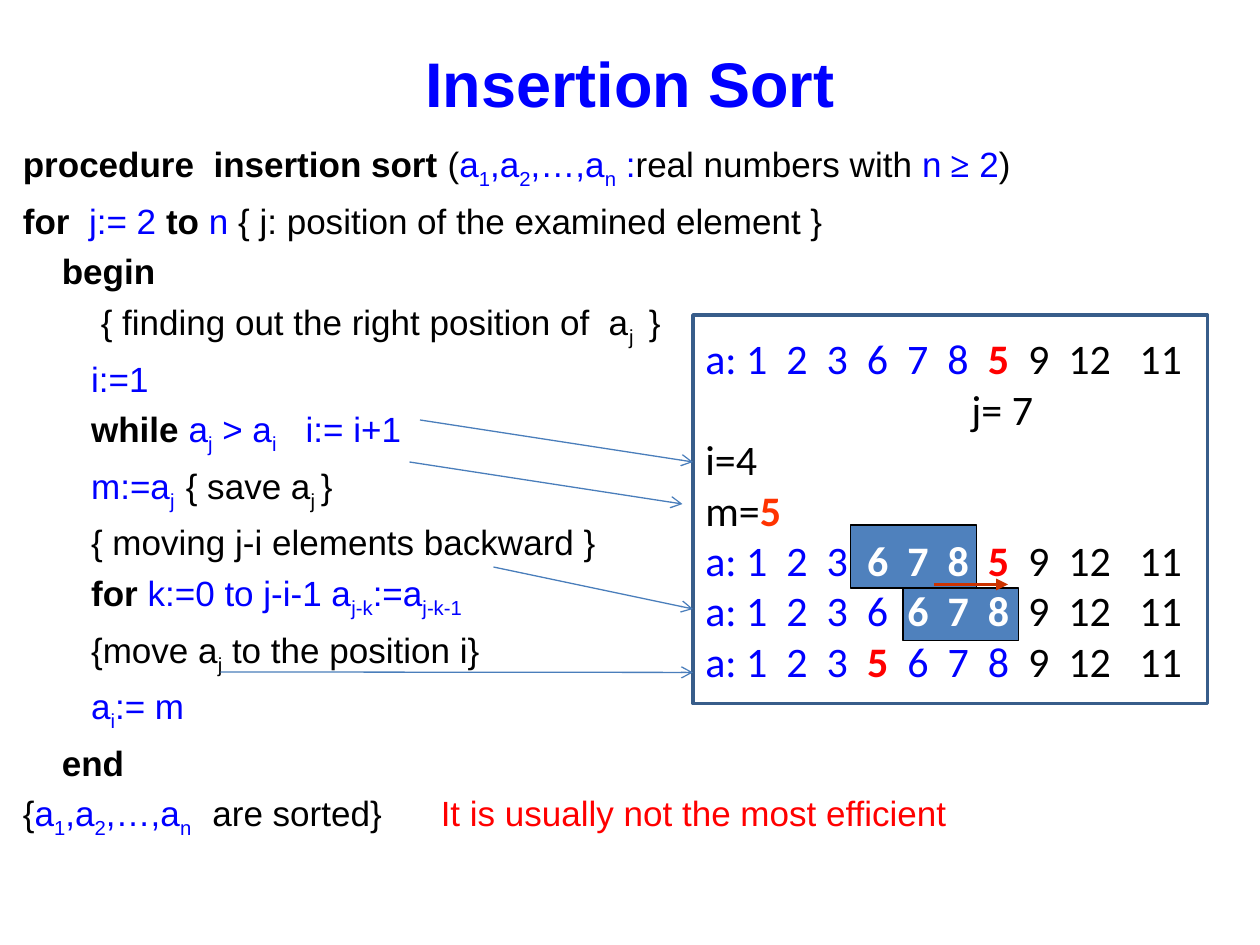
from dataclasses import dataclass

from lxml import etree
from pptx import Presentation
from pptx.dml.color import RGBColor
from pptx.enum.shapes import MSO_CONNECTOR, MSO_SHAPE
from pptx.enum.text import MSO_ANCHOR, PP_ALIGN
from pptx.oxml.ns import qn
from pptx.util import Pt

RECTANGLE = MSO_SHAPE.RECTANGLE
STRAIGHT = MSO_CONNECTOR.STRAIGHT
MIDDLE = MSO_ANCHOR.MIDDLE
TOP = MSO_ANCHOR.TOP
LEFT = PP_ALIGN.LEFT
CENTER = PP_ALIGN.CENTER


@dataclass(frozen=True)
class Theme:
    black: str = "000000"
    blue: str = "0000FF"
    red: str = "FF0000"
    orange: str = "FF3300"
    white: str = "FFFFFF"
    block: str = "4F81BD"
    frame: str = "385D8A"
    pointer: str = "4A7EBB"
    shift: str = "CC3300"
    code_font: str = "Arial"
    trace_font: str = "Calibri"
    math_font: str = "Times New Roman"
    title_size: int = 36
    code_size: int = 20
    trace_size: int = 24


THEME = Theme()
STYLES = {
    "k": (THEME.black, False), "K": (THEME.black, True),
    "b": (THEME.blue, False), "B": (THEME.blue, True),
    "r": (THEME.red, False), "R": (THEME.red, True),
    "O": (THEME.orange, True), "W": (THEME.white, True),
}
STEP = 22.25
BODY = 39
SEQUENCE = [("b", "a"), ("b_", "1"), ("b", ",a"), ("b_", "2"), ("b", ",…,a"), ("b_", "n")]
TAIL = ("k", "  9  12   11")

PROCEDURE = [
    (0, [("K", "procedure  insertion sort"), ("k", " ("), *SEQUENCE, ("b", " :"),
         ("k", "real numbers with "), ("b", "n"), ("B*", " ≥"), ("b", " 2"), ("k", ")")]),
    (0, [("K", "for  "), ("b", "j:= 2 "), ("K", "to "), ("b", "n "),
         ("k", "{ j: position of the examined element }")]),
    (STEP, [("K", "begin")]),
    (2 * STEP, [("k", "{ finding out the right position of  a"), ("k_", "j "), ("k", " }")]),
    (BODY, [("b", "i:=1")]),
    (BODY, [("K", "while "), ("b", "a"), ("b_", "j"), ("b", " > a"), ("b_", "i"),
            ("b", "   i:= i+1")]),
    (BODY, [("b", "m:=a"), ("b_", "j  "), ("k", "{ save a"), ("k_", "j "), ("k", "}")]),
    (BODY, [("k", "{ moving j-i elements backward }")]),
    (BODY, [("K", "for "), ("b", "k:=0 to j-i-1 a"), ("b_", "j-k"), ("b", ":=a"),
            ("b_", "j-k-1")]),
    (BODY, [("k", "{move a"), ("k_", "j"), ("k", " to the position i}")]),
    (BODY, [("b", "a"), ("b_", "i"), ("b", ":= m")]),
    (STEP, [("K", "end")]),
    (0, [("k", "{"), *SEQUENCE, ("b_", "  "), ("k", " are sorted}")]),
]
REMARK = [(0, [("r", "It is usually not the most efficient")])]

TRACE = [
    (0, [("b", "a: 1  2  3  6  7  8  "), ("R", "5"), TAIL]),
    (152, [("k", "j= 7")]),
    (0, [("k", "i=4")]),
    (0, [("k", "m="), ("O", "5")]),
    (0, [("b", "a: 1  2  3  "), ("W", "6  7  8  "), ("R", "5"), TAIL]),
    (0, [("b", "a: 1  2  3  6  "), ("W", "6  7  8  "), ("k", "9  12   11")]),
    (0, [("b", "a: 1  2  3  "), ("R", "5"), ("b", "  6  7  8"), TAIL]),
]
BLOCKS = [(516, 336, 66, 30), (486, 300, 72, 36)]
POINTERS = [
    (240, 240, 396, 264),
    (234, 264, 390, 288),
    (282, 324, 396, 348),
    (126, 384, 396, 384.25),
]


def color(code):
    return RGBColor.from_string(code)


def add_span(para, style, text, font, size):
    span = para.add_run()
    span.text = text
    shade, bold = STYLES[style[0]]
    span.font.name = THEME.math_font if "*" in style else font
    span.font.size = Pt(size)
    span.font.bold = bold
    span.font.color.rgb = color(shade)
    if "_" in style:
        span.font._element.set("baseline", "-25000")


def fill_text(frame, lines, font, size, gap=0):
    for index, (indent, spans) in enumerate(lines):
        para = frame.add_paragraph() if index else frame.paragraphs[0]
        para.alignment = LEFT
        para.space_before = Pt(gap if index else 0)
        properties = para._p.get_or_add_pPr()
        properties.set("marL", str(Pt(indent)))
        properties.set("indent", "0")
        for style, text in spans:
            add_span(para, style, text, font, size)


def add_title(page, text):
    title = page.shapes.title
    title.left, title.top, title.width, title.height = Pt(36), Pt(21.6), Pt(648), Pt(50.4)
    title.text_frame.vertical_anchor = MIDDLE
    para = title.text_frame.paragraphs[0]
    para.alignment = CENTER
    add_span(para, "B", text, THEME.code_font, THEME.title_size)


def add_code(page, bounds, lines):
    box = page.shapes.add_textbox(*map(Pt, bounds))
    box.text_frame.word_wrap = True
    box.text_frame.vertical_anchor = TOP
    fill_text(box.text_frame, lines, THEME.code_font, THEME.code_size, 5)


def add_rectangle(page, bounds, fill, line, weight):
    box = page.shapes.add_shape(RECTANGLE, *map(Pt, bounds))
    box.shadow.inherit = False
    if fill:
        box.fill.solid()
        box.fill.fore_color.rgb = color(fill)
    else:
        box.fill.background()
    box.line.color.rgb = color(line)
    box.line.width = Pt(weight)
    return box


def add_trace(page):
    box = add_rectangle(page, (396, 180, 294, 222), None, THEME.frame, 2)
    box.text_frame.word_wrap = True
    box.text_frame.vertical_anchor = MIDDLE
    fill_text(box.text_frame, TRACE, THEME.trace_font, THEME.trace_size)


def add_arrow(page, ends, shade, weight, head):
    arrow = page.shapes.add_connector(STRAIGHT, *map(Pt, ends))
    arrow.line.color.rgb = color(shade)
    arrow.line.width = Pt(weight)
    etree.SubElement(arrow.line._get_or_add_ln(), qn("a:tailEnd"), type=head)
    etree.SubElement(arrow._element.spPr, qn("a:effectLst"))


def main():
    deck = Presentation()
    deck.slide_width, deck.slide_height = Pt(720), Pt(540)
    page = deck.slides.add_slide(deck.slide_layouts[5])
    add_title(page, "Insertion Sort")
    add_code(page, (6, 78, 648, 408), PROCEDURE)
    add_code(page, (244.8, 448.9, 340, 31), REMARK)
    for bounds in BLOCKS:
        add_rectangle(page, bounds, THEME.block, THEME.black, 0.75)
    add_trace(page)
    for ends in POINTERS:
        add_arrow(page, ends, THEME.pointer, 0.75, "arrow")
    add_arrow(page, (534, 334, 576, 334), THEME.shift, 2.25, "triangle")
    deck.save("out.pptx")


if __name__ == "__main__":
    main()
